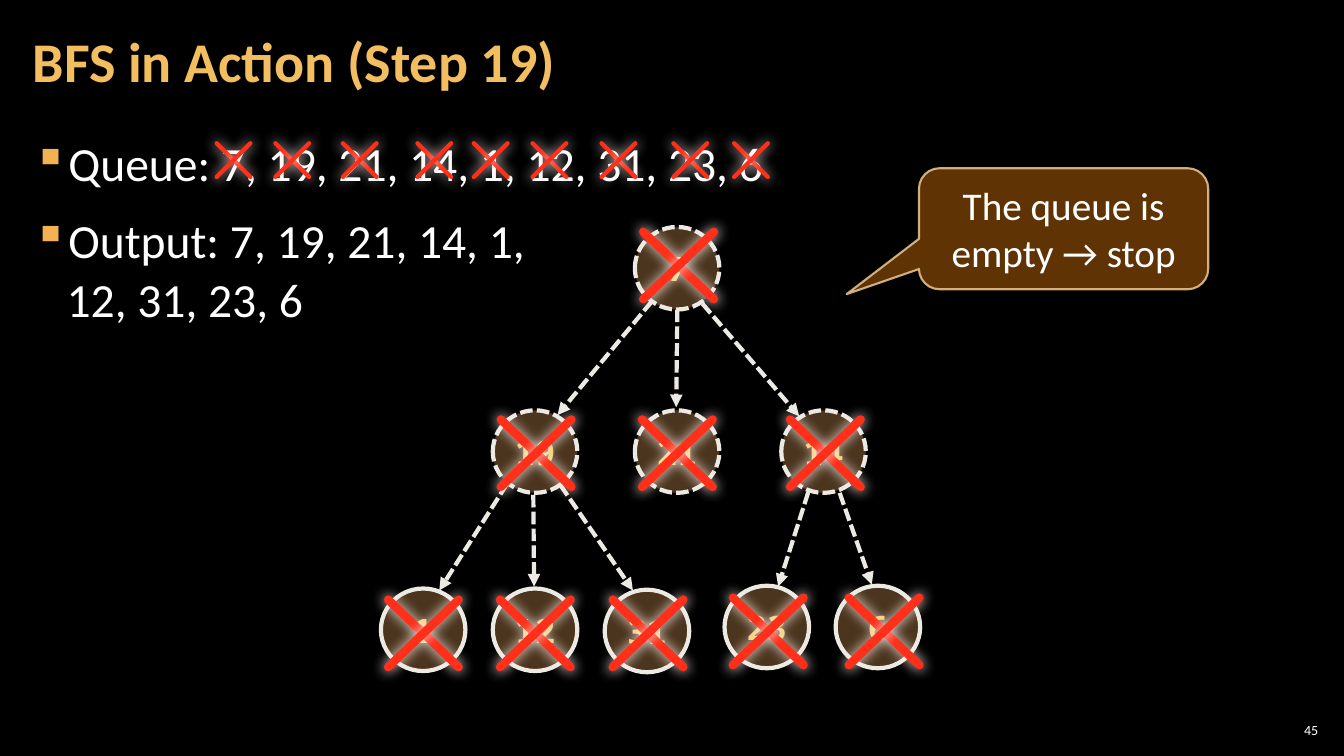
from lxml.etree import SubElement
from pptx import Presentation
from pptx.dml.color import RGBColor
from pptx.enum.dml import MSO_LINE
from pptx.enum.shapes import MSO_CONNECTOR, MSO_SHAPE
from pptx.enum.text import MSO_ANCHOR, PP_ALIGN
from pptx.oxml.ns import qn
from pptx.util import Cm, Pt

COLORS = {
    "back": "000000",
    "text": "FFFFFF",
    "title": "F3BE60",
    "bullet": "F2B254",
    "cross": "FF2F19",
    "glow": "FFEDEB",
    "note": "663606",
    "rim": "F8D49E",
    "node": "6C4C2C",
    "edge": "ECEAE3",
    "digit": "F3CD60",
}

INSET = {
    "margin_left": Cm(0.3),
    "margin_right": Cm(0.3),
    "margin_top": Cm(0.1),
    "margin_bottom": Cm(0.1),
}
TITLE = {"name": "Calibri", "size": Pt(40), "bold": True}
BODY = {"name": "Calibri", "size": Pt(34)}
NOTE = {"name": "Calibri", "size": Pt(28)}
PAGE = {"name": "Calibri", "size": Pt(10)}
DIGIT = {"name": "Noto Sans Mono", "size": Pt(24), "bold": True}

NODE_W, NODE_H = 2.13, 2.08
NODES = [
    ("7", 16, 5.72, 16.21, 5.84),
    ("19", 12.42, 10.34, 12.62, 10.57),
    ("21", 16, 10.34, 16.18, 10.57),
    ("14", 19.69, 10.34, 19.91, 10.57),
    ("1", 9.6, 14.83, 9.78, 15.11),
    ("12", 12.42, 14.83, 12.6, 15.11),
    ("31", 15.24, 14.86, 15.44, 15.11),
    ("23", 18.26, 14.76, 18.47, 15.06),
    ("6", 21.06, 14.76, 21.39, 15.06),
]
INNER = {"7", "19", "21", "14"}
EDGES = [
    (16.43, 7.59, 14.05, 10.46),
    (17.07, 7.8, 17.04, 10.26),
    (17.7, 7.65, 20.14, 10.49),
    (12.78, 12.19, 11.07, 14.88),
    (13.44, 12.47, 13.46, 14.78),
    (14.12, 12.22, 15.95, 14.88),
    (20.37, 12.4, 19.61, 14.78),
    (21.16, 12.42, 21.97, 14.73),
]
MARKS = [5.46, 6.94, 8.64, 10.52, 11.94, 13.42, 15.16, 16.97, 18.5]


def apply(item, values):
    for key, value in values.items():
        setattr(item, key, value)


def tint(color, name):
    color.rgb = RGBColor.from_string(COLORS[name])


def fade(fill, percent):
    color = fill.find(".//" + qn("a:srgbClr"))
    SubElement(color, qn("a:alpha"), val=str(percent * 1000))


def write(para, text, font, color, form):
    para.text = text
    apply(para, form)
    for run in para.runs:
        apply(run.font, font)
        tint(run.font.color, color)


def add_box(shapes, area, frame):
    box = shapes.add_textbox(*map(Cm, area))
    apply(box.text_frame, {"word_wrap": True, **INSET, **frame})
    return box.text_frame


def add_bullet(para):
    props = para._p.get_or_add_pPr()
    apply_indent = {"marL": Cm(0.85), "indent": -Cm(0.85)}
    for key, value in apply_indent.items():
        props.set(key, str(int(value)))
    color = SubElement(props, qn("a:buClr"))
    SubElement(color, qn("a:srgbClr"), val=COLORS["bullet"])
    SubElement(props, qn("a:buChar"), char="▪")


def add_list(shapes, items):
    frame = add_box(shapes, (0.53, 3.2, 32.79, 15.47), {})
    for i, text in enumerate(items):
        para = frame.add_paragraph() if i else frame.paragraphs[0]
        add_bullet(para)
        form = {
            "line_spacing": 1.05,
            "space_before": Pt(6 if i else 0),
            "space_after": Pt(6),
        }
        write(para, text, BODY, "text", form)


def add_line(shapes, ends, color, width):
    line = shapes.add_connector(MSO_CONNECTOR.STRAIGHT, *map(Cm, ends))
    line.line.width = Pt(width)
    tint(line.line.color, color)
    props = line._element.spPr
    return line, props.find(qn("a:ln")), SubElement(props, qn("a:effectLst"))


def add_cross(shapes, x, y, w, h, width):
    group = shapes.add_group_shape()
    for left, right in ((x, x + w), (x + w, x)):
        _, stroke, effect = add_line(
            group.shapes, (left, y, right, y + h), "cross", width
        )
        stroke.set("cap", "rnd")
        glow = SubElement(
            effect, qn("a:outerShdw"), blurRad=str(Pt(10)), dist="0", algn="ctr"
        )
        SubElement(glow, qn("a:srgbClr"), val=COLORS["glow"])


def add_edge(shapes, ends):
    line, stroke, _ = add_line(shapes, ends, "edge", 3)
    line.line.dash_style = MSO_LINE.SQUARE_DOT
    SubElement(stroke, qn("a:tailEnd"), type="triangle")


def add_form(shapes, kind, area, fill, alpha, rim, width):
    form = shapes.add_shape(kind, *map(Cm, area))
    form.shadow.inherit = False
    form.fill.solid()
    tint(form.fill.fore_color, fill)
    fade(form._element.spPr.find(qn("a:solidFill")), alpha)
    form.line.width = Pt(width)
    tint(form.line.color, rim)
    form.text_frame.vertical_anchor = MSO_ANCHOR.MIDDLE
    return form


def add_node(shapes, label, x, y):
    area = (x, y, NODE_W, NODE_H)
    node = add_form(shapes, MSO_SHAPE.OVAL, area, "node", 70, "edge", 3)
    if label in INNER:
        node.line.dash_style = MSO_LINE.SQUARE_DOT
    node.text_frame.word_wrap = False
    para = node.text_frame.paragraphs[0]
    write(para, label, DIGIT, "digit", {"alignment": PP_ALIGN.CENTER})


def add_note(shapes, text):
    area = (23.16, 4.24, 7.29, 3.05)
    kind = MSO_SHAPE.ROUNDED_RECTANGULAR_CALLOUT
    note = add_form(shapes, kind, area, "note", 95, "rim", 1.5)
    for i, value in enumerate((-0.75, 0.54, 0.17)):
        note.adjustments[i] = value
    fade(note._element.spPr.find(qn("a:ln")), 80)
    note.text_frame.word_wrap = True
    para = note.text_frame.paragraphs[0]
    write(para, text, NOTE, "text", {"alignment": PP_ALIGN.CENTER})


def add_tree(shapes):
    tree = shapes.add_group_shape().shapes
    for ends in EDGES:
        add_edge(tree, ends)
    for label, x, y, _, _ in NODES:
        add_node(tree, label, x, y)
    for _, _, _, x, y in NODES:
        add_cross(shapes, x, y, 1.78, 1.7, 6)


def main():
    deck = Presentation()
    apply(deck, {"slide_width": Cm(33.87), "slide_height": Cm(19.05)})
    slide = deck.slides.add_slide(deck.slide_layouts[6])
    slide.background.fill.solid()
    tint(slide.background.fill.fore_color, "back")
    shapes = slide.shapes
    middle = {"vertical_anchor": MSO_ANCHOR.MIDDLE}

    page = add_box(shapes, (32.13, 18.14, 1.19, 0.53),
                   {**middle, "margin_left": Cm(0.1), "margin_right": Cm(0.1)})
    write(page.paragraphs[0], "45", PAGE, "text", {"alignment": PP_ALIGN.RIGHT})
    add_list(shapes, [
        "Queue: 7, 19, 21, 14, 1, 12, 31, 23, 6",
        "Output: 7, 19, 21, 14, 1,\v12, 31, 23, 6",
    ])
    title = add_box(shapes, (0.53, 0.1, 26.59, 3.07), middle)
    write(title.paragraphs[0], "BFS in Action (Step 19)", TITLE, "title",
          {"line_spacing": 0.9})
    for x in MARKS:
        add_cross(shapes, x, 3.61, 0.85, 0.85, 3)
    add_note(shapes, "The queue is empty → stop")
    add_tree(shapes)
    deck.save("out.pptx")


if __name__ == "__main__":
    main()
